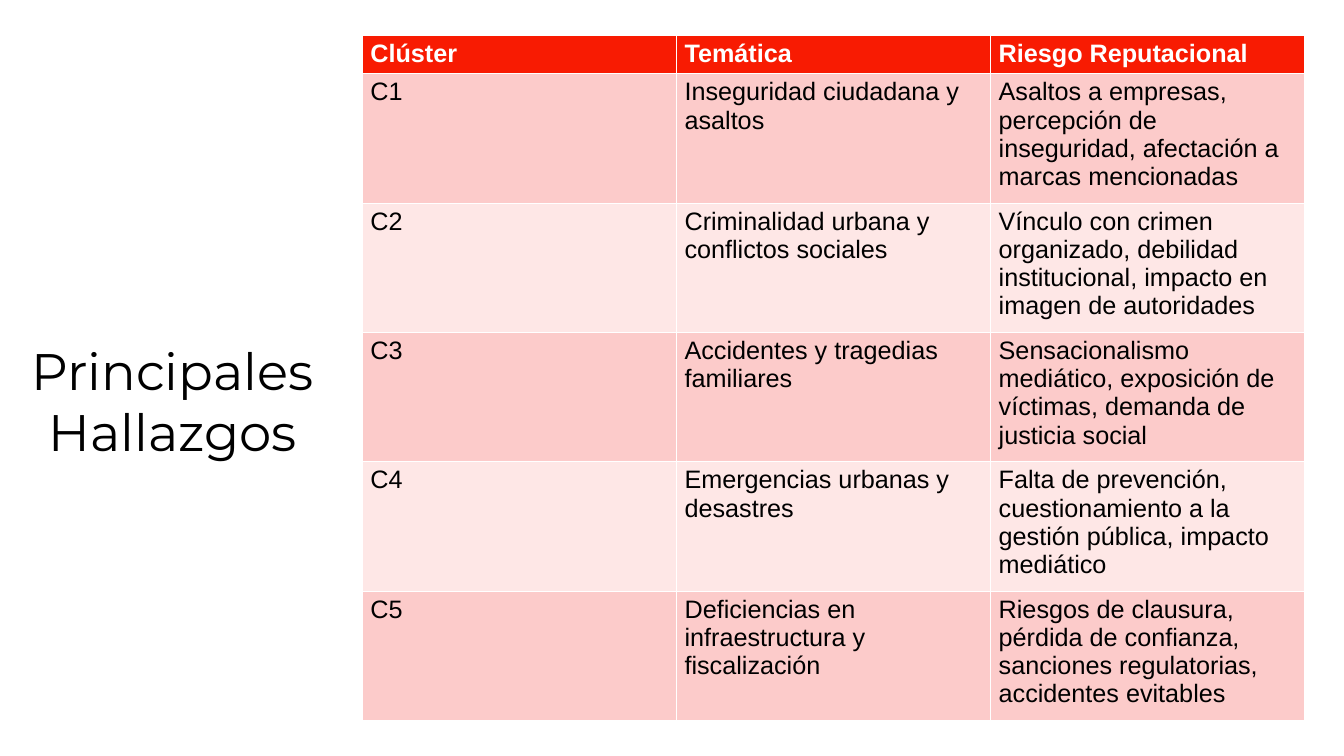
from pptx import Presentation
from pptx.dml.color import RGBColor as RGB
from pptx.enum.text import MSO_ANCHOR as Anchor, MSO_AUTO_SIZE as AutoSize, PP_ALIGN as Align
from pptx.util import Inches, Pt

COLORS = {
    "header": "F81B02",
    "odd": "FCCBCA",
    "even": "FEE7E6",
    "light": "FFFFFF",
    "dark": "000000",
}
FINDINGS = [
    ("Clúster", "Temática", "Riesgo Reputacional"),
    ("C1", "Inseguridad ciudadana y asaltos",
     "Asaltos a empresas, percepción de inseguridad, afectación a marcas mencionadas"),
    ("C2", "Criminalidad urbana y conflictos sociales",
     "Vínculo con crimen organizado, debilidad institucional, impacto en imagen de autoridades"),
    ("C3", "Accidentes y tragedias familiares",
     "Sensacionalismo mediático, exposición de víctimas, demanda de justicia social"),
    ("C4", "Emergencias urbanas y desastres",
     "Falta de prevención, cuestionamiento a la gestión pública, impacto mediático"),
    ("C5", "Deficiencias en infraestructura y fiscalización",
     "Riesgos de clausura, pérdida de confianza, sanciones regulatorias, accidentes evitables"),
]
HEADER_HEIGHT, CLUSTER_HEIGHT, COLUMN_WIDTH = Inches(0.44), Inches(1.46), Inches(3.74)


def style_font(paragraph, name, size, color, bold=False):
    font = paragraph.font
    font.name, font.size, font.bold = name, Pt(size), bold
    font.color.rgb = RGB.from_string(COLORS[color])


prs = Presentation()
prs.slide_width, prs.slide_height = Inches(16), Inches(9)
slide = prs.slides.add_slide(prs.slide_layouts[5])

heading = slide.shapes.title
heading.left, heading.top = Inches(0.07), Inches(3.98)
heading.width, heading.height = Inches(3.97), Inches(1.58)
heading_text = heading.text_frame
heading_text.text = "Principales\nHallazgos"
heading_text.word_wrap = True
heading_text.auto_size = AutoSize.SHAPE_TO_FIT_TEXT
heading_text.vertical_anchor = Anchor.MIDDLE
for line in heading_text.paragraphs:
    line.alignment = Align.CENTER
    style_font(line, "Montserrat", 44, "dark")

clusters = slide.shapes.add_table(
    len(FINDINGS), len(FINDINGS[0]), Inches(4.31), Inches(0.42),
    COLUMN_WIDTH * len(FINDINGS[0]),
    HEADER_HEIGHT + CLUSTER_HEIGHT * (len(FINDINGS) - 1),
).table
for column in clusters.columns:
    column.width = COLUMN_WIDTH

for r, finding in enumerate(FINDINGS):
    is_header = r == 0
    clusters.rows[r].height = HEADER_HEIGHT if is_header else CLUSTER_HEIGHT
    fill_color = "header" if is_header else "odd" if r % 2 else "even"
    for c, wording in enumerate(finding):
        cell = clusters.cell(r, c)
        cell.text = wording
        cell.fill.solid()
        cell.fill.fore_color.rgb = RGB.from_string(COLORS[fill_color])
        style_font(cell.text_frame.paragraphs[0], "Arial", 21.6,
                   "light" if is_header else "dark", is_header)

prs.save("out.pptx")
